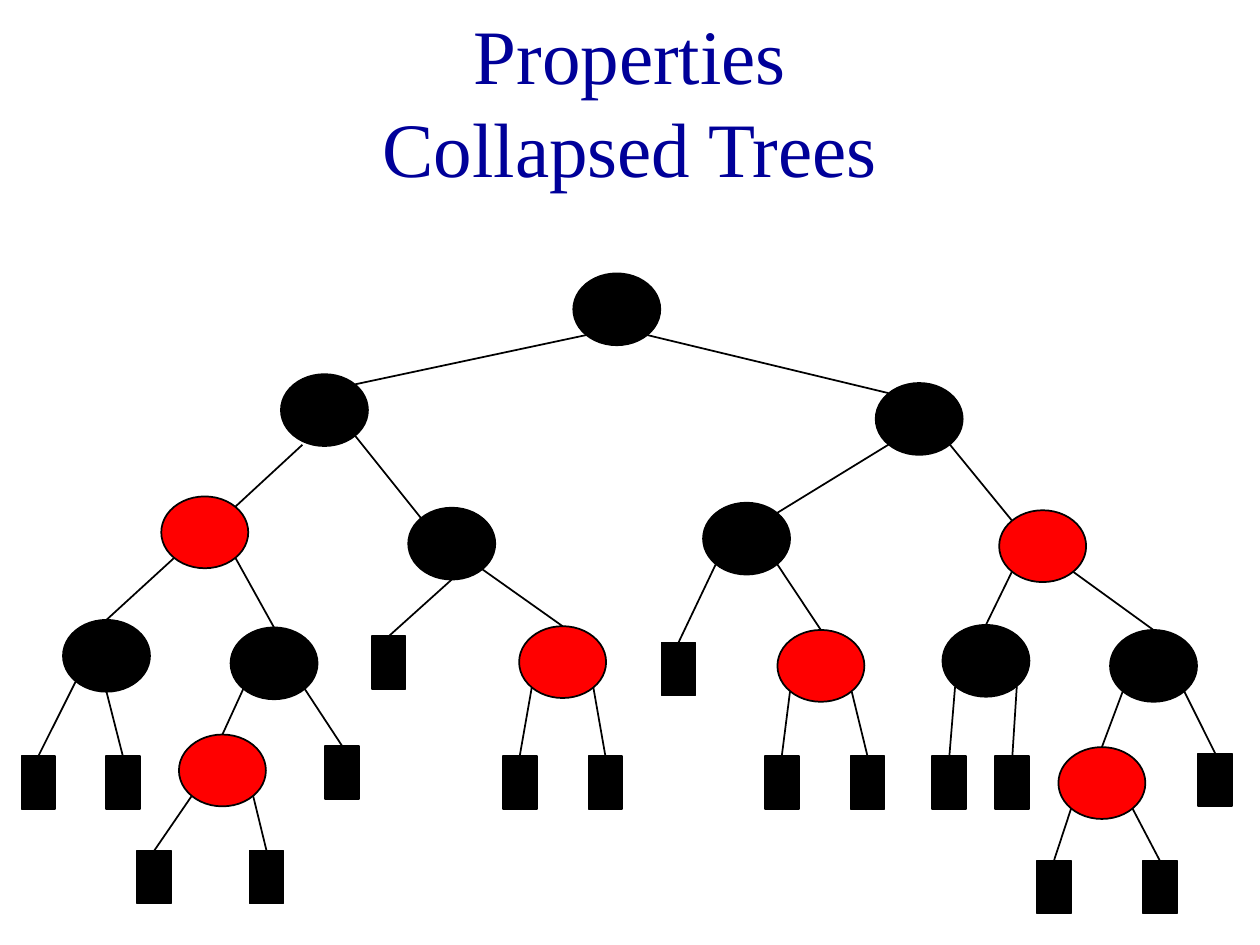
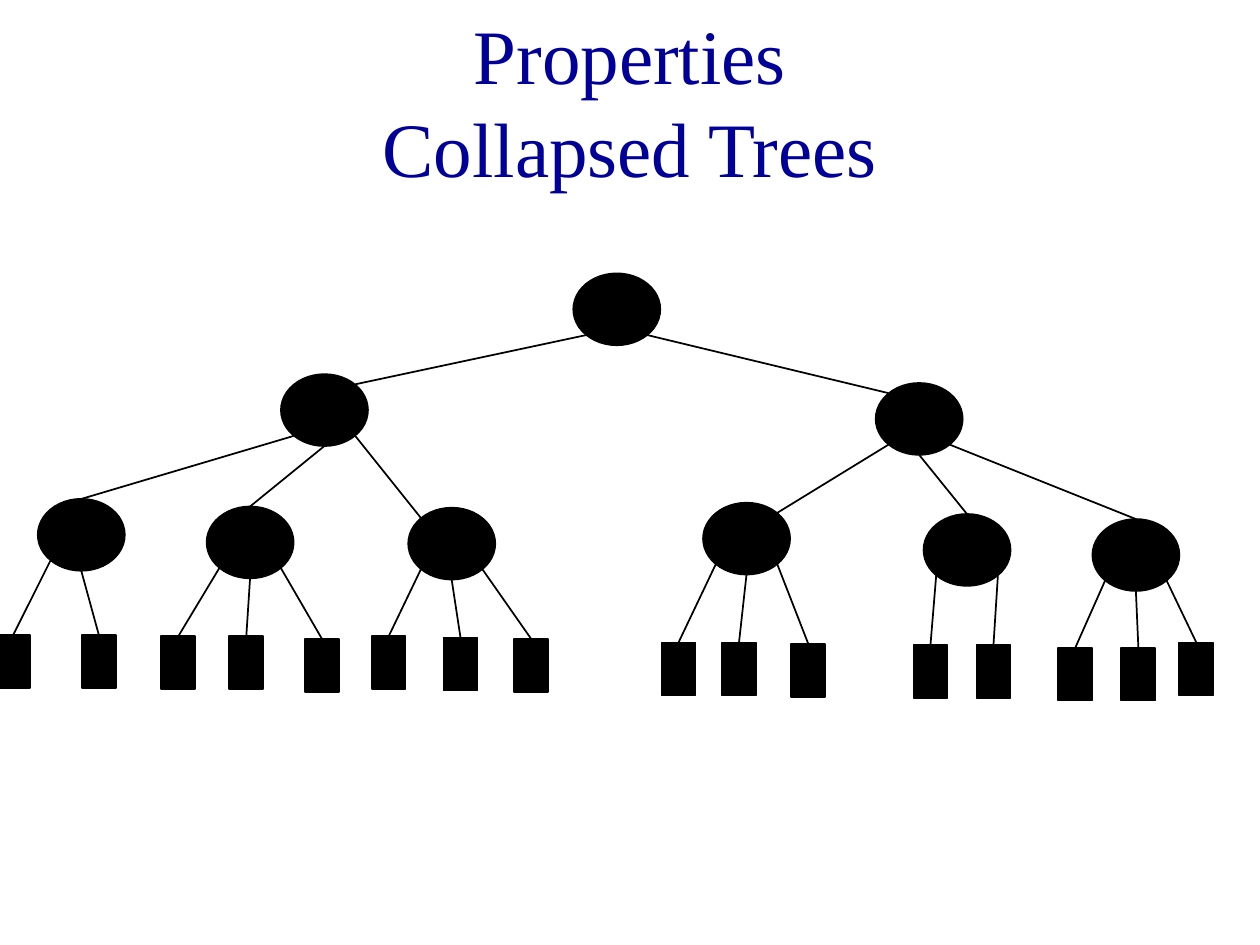
from dataclasses import dataclass
from lxml.etree import SubElement
from pptx import Presentation
from pptx.dml.color import RGBColor
from pptx.enum.shapes import MSO_CONNECTOR, MSO_SHAPE
from pptx.enum.text import MSO_ANCHOR, MSO_AUTO_SIZE, PP_ALIGN
from pptx.oxml.ns import qn
from pptx.util import Inches, Pt

BLACK = RGBColor(0, 0, 0)
RED = RGBColor(255, 0, 0)
NAVY = RGBColor(0, 0, 0x99)
FONT = "Times New Roman"
TITLE = ("Properties", "Collapsed Trees")
PORTS = {
    "nw": (0.1, 0.08), "ne": (0.59, 0.08),
    "sw": (0.1, 0.49), "low": (0.17, 0.56), "s": (0.345, 0.57), "se": (0.59, 0.49),
}


@dataclass
class Node:
    x: float
    y: float
    kids: tuple = ()
    fill: RGBColor = BLACK
    form: int = MSO_SHAPE.OVAL
    width: float = 0.69
    height: float = 0.57


def leaf(x, y):
    return Node(x, y, form=MSO_SHAPE.RECTANGLE, width=0.27, height=0.42)


def pair(left, right):
    return ("sw", left, "n"), ("se", right, "n")


def trio(left, mid, right):
    return ("sw", left, "n"), ("s", mid, "n"), ("se", right, "n")


def crown(left, right):
    return Node(4.55, 2.17, (("sw", Node(2.23, 2.97, left), "ne"),
                             ("se", Node(6.95, 3.04, right), "nw")))


class Deck:
    def __init__(self):
        self.show = Presentation()
        self.show.slide_width = Inches(10)
        self.show.slide_height = Inches(7.5)
        self.slide = None

    def page(self, tree):
        self.slide = self.show.slides.add_slide(self.show.slide_layouts[5])
        self.title(TITLE)
        self.tree(tree)

    def title(self, lines):
        box = self.slide.shapes.title
        box.left, box.top = Inches(0.75), Inches(0.17)
        box.width, box.height = Inches(8.5), Inches(1.25)
        frame = box.text_frame
        frame.word_wrap = True
        frame.auto_size = MSO_AUTO_SIZE.NONE
        frame.vertical_anchor = MSO_ANCHOR.MIDDLE
        para = frame.paragraphs[0]
        para.alignment = PP_ALIGN.CENTER
        for rank, line in enumerate(lines):
            if rank:
                para.add_line_break()
            run = para.add_run()
            run.text = line
            run.font.name = FONT
            run.font.size = Pt(44)
            run.font.color.rgb = NAVY

    def shape(self, node):
        shape = self.slide.shapes.add_shape(
            node.form, Inches(node.x), Inches(node.y),
            Inches(node.width), Inches(node.height))
        shape.shadow.inherit = False
        shape.fill.solid()
        shape.fill.fore_color.rgb = node.fill
        shape.line.color.rgb = BLACK
        shape.line.width = Pt(1)
        return shape

    def link(self, node, start, kid, end, shape):
        dx, dy = PORTS[start]
        ex, ey = PORTS.get(end, (kid.width / 2, 0))
        line = self.slide.shapes.add_connector(
            MSO_CONNECTOR.STRAIGHT, Inches(node.x + dx), Inches(node.y + dy),
            Inches(kid.x + ex), Inches(kid.y + ey))
        if end == "n":
            line.end_connect(shape, 0)
        line.line.color.rgb = BLACK
        line.line.width = Pt(1)
        SubElement(line._element.spPr, qn("a:effectLst"))

    def tree(self, node):
        shape = self.shape(node)
        for start, kid, end in node.kids:
            self.link(node, start, kid, end, self.tree(kid))
        return shape


def colored():
    far = Node(0.5, 4.92, (("sw", leaf(0.17, 6), "n"), ("s", leaf(0.84, 6), "n")))
    low = Node(1.42, 5.83, pair(leaf(1.09, 6.75), leaf(1.98, 6.75)), RED)
    near = Node(1.83, 4.98, pair(low, leaf(2.58, 5.92)))
    outer = Node(1.28, 3.94, pair(far, near), RED)
    twin = Node(4.12, 4.97, pair(leaf(3.99, 6), leaf(4.67, 6)), RED)
    inner = Node(3.24, 4.03, (("s", leaf(2.95, 5.05), "n"), ("se", twin, "n")))
    left = ("low", outer, "ne"), ("se", inner, "nw")

    twin = Node(6.17, 5, pair(leaf(6.07, 6), leaf(6.75, 6)), RED)
    inner = Node(5.58, 3.99, pair(leaf(5.25, 5.1), twin))
    near = Node(7.48, 4.96, pair(leaf(7.4, 6), leaf(7.9, 6)))
    low = Node(8.4, 5.93, pair(leaf(8.23, 6.83), leaf(9.07, 6.83)), RED)
    far = Node(8.81, 5, pair(low, leaf(9.51, 5.98)))
    outer = Node(7.93, 4.05, pair(near, far), RED)
    right = ("sw", inner, "ne"), ("se", outer, "nw")
    return crown(left, right)


def merged():
    far = Node(0.3, 3.96, (("sw", leaf(-0.03, 5.04), "n"), ("s", leaf(0.65, 5.04), "n")))
    mid = Node(1.64, 4.02, trio(leaf(1.28, 5.05), leaf(1.82, 5.05), leaf(2.42, 5.07)))
    near = Node(3.24, 4.03, trio(leaf(2.95, 5.05), leaf(3.52, 5.06), leaf(4.08, 5.07)))
    left = ("sw", far, "n"), ("s", mid, "n"), ("se", near, "nw")

    near = Node(5.58, 3.99, trio(leaf(5.25, 5.1), leaf(5.73, 5.1), leaf(6.28, 5.11)))
    mid = Node(7.33, 4.08, pair(leaf(7.25, 5.12), leaf(7.75, 5.12)))
    far = Node(8.67, 4.12, trio(leaf(8.4, 5.14), leaf(8.9, 5.14), leaf(9.36, 5.1)))
    right = ("sw", near, "ne"), ("s", mid, "n"), ("se", far, "n")
    return crown(left, right)


def main():
    deck = Deck()
    deck.page(colored())
    deck.page(merged())
    deck.show.save("out.pptx")


if __name__ == "__main__":
    main()
